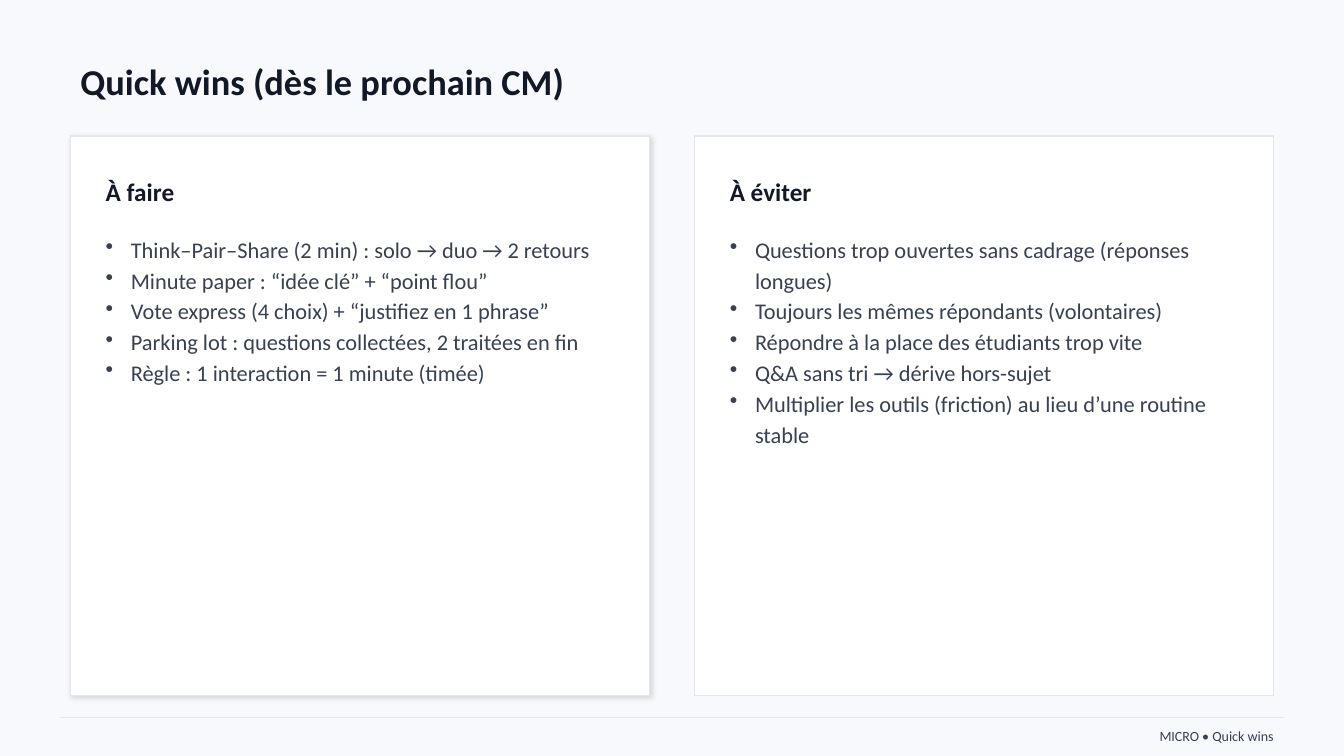
from lxml import etree
from pptx import Presentation
from pptx.dml.color import RGBColor
from pptx.enum import shapes, text
from pptx.oxml import parse_xml
from pptx.oxml.ns import nsdecls, qn
from pptx.util import Inches, Pt

FONT = "Calibri"
INK, BODY, RULE = "111827", "374151", "E5E7EB"
MARGIN, GAP = 0.7, 0.45
CARD_TOP, CARD_WIDTH, CARD_HEIGHT = 1.35, 5.74, 5.55

CARDS = [
    ("À faire", [
        "Think–Pair–Share (2 min) : solo → duo → 2 retours",
        "Minute paper : “idée clé” + “point flou”",
        "Vote express (4 choix) + “justifiez en 1 phrase”",
        "Parking lot : questions collectées, 2 traitées en fin",
        "Règle : 1 interaction = 1 minute (timée)",
    ], True),
    ("À éviter", [
        "Questions trop ouvertes sans cadrage (réponses longues)",
        "Toujours les mêmes répondants (volontaires)",
        "Répondre à la place des étudiants trop vite",
        "Q&A sans tri → dérive hors-sujet",
        "Multiplier les outils (friction) au lieu d’une routine stable",
    ], False),
]


def color(value):
    return RGBColor.from_string(value)


def add_text(slide, box, lines, size, ink, bold=False,
             anchor=text.MSO_ANCHOR.MIDDLE, align=text.PP_ALIGN.LEFT):
    """Write one paragraph per line in the box and return the paragraphs."""
    frame = slide.shapes.add_textbox(*map(Inches, box)).text_frame
    frame.word_wrap = True
    frame.vertical_anchor = anchor
    frame.text = "\n".join(lines)
    for paragraph in frame.paragraphs:
        paragraph.alignment = align
        font = paragraph.font
        font.name, font.size, font.bold = FONT, Pt(size), bold
        font.color.rgb = color(ink)
    return frame.paragraphs


def add_bullet(paragraph):
    paragraph.line_spacing = 1.15
    props = paragraph._p.get_or_add_pPr()
    props.set("marL", str(Inches(0.25)))
    props.set("indent", str(-Inches(0.25)))
    bullet = parse_xml(f'<a:buChar {nsdecls("a")} char="•"/>')
    props.insert_element_before(bullet, "a:tabLst", "a:defRPr", "a:extLst")


def add_soft_shadow(shape):
    effects = shape._element.spPr.find(qn("a:effectLst"))
    effects.append(parse_xml(
        f'<a:outerShdw {nsdecls("a")} blurRad="{Pt(4)}" dist="{Pt(1.5)}" '
        'dir="2700000" algn="ctr" rotWithShape="0"><a:srgbClr val="000000">'
        '<a:alpha val="12000"/></a:srgbClr></a:outerShdw>'))


def add_card(slide, box, heading, points, raised):
    left, top, width, height = box
    panel = slide.shapes.add_shape(
        shapes.MSO_SHAPE.RECTANGLE, *map(Inches, box))
    panel.fill.solid()
    panel.fill.fore_color.rgb = color("FFFFFF")
    panel.line.color.rgb = color(RULE)
    panel.line.width = Pt(1)
    panel.shadow.inherit = False
    if raised:
        add_soft_shadow(panel)

    inner_left, inner_width = left + 0.25, width - 0.5
    add_text(slide, (inner_left, top + 0.35, inner_width, 0.4),
             [heading], 18, INK, bold=True)
    bullets = add_text(slide, (inner_left, top + 0.9, inner_width, height - 1.2),
                       points, 16, BODY, anchor=text.MSO_ANCHOR.TOP)
    for paragraph in bullets:
        add_bullet(paragraph)


def add_footer(slide, box, label):
    left, top, width, height = box
    rule = slide.shapes.add_connector(
        shapes.MSO_CONNECTOR.STRAIGHT,
        *map(Inches, (left, top, left + width, top)))
    rule.line.color.rgb = color(RULE)
    rule.line.width = Pt(1)
    etree.SubElement(rule._element.spPr, qn("a:effectLst"))
    add_text(slide, (left, top + 0.06, width, height - 0.06),
             [label], 10, BODY, align=text.PP_ALIGN.RIGHT)


def build_quick_wins(deck):
    slide = deck.slides.add_slide(deck.slide_layouts[6])
    slide.background.fill.solid()
    slide.background.fill.fore_color.rgb = color("F7F9FC")
    add_text(slide, (MARGIN, 0.55, 2 * CARD_WIDTH + GAP, 0.5),
             ["Quick wins (dès le prochain CM)"], 26, INK, bold=True)
    for column, card in enumerate(CARDS):
        left = MARGIN + column * (CARD_WIDTH + GAP)
        add_card(slide, (left, CARD_TOP, CARD_WIDTH, CARD_HEIGHT), *card)
    add_footer(slide, (0.6, 7.12, 12.13, 0.31), "MICRO • Quick wins")


def main():
    deck = Presentation()
    deck.slide_width, deck.slide_height = Inches(13.33), Inches(7.5)
    build_quick_wins(deck)
    deck.save("out.pptx")


if __name__ == "__main__":
    main()
